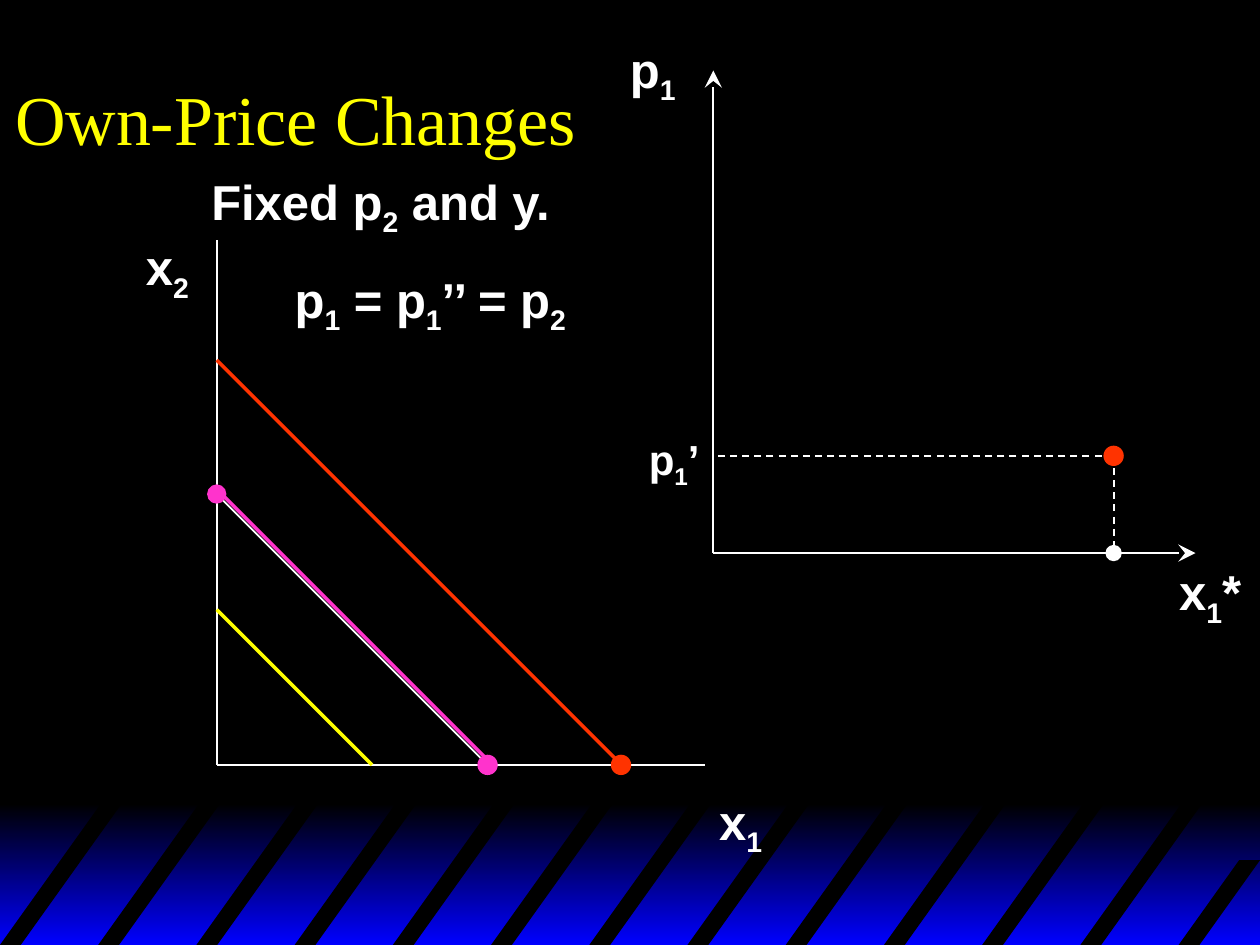
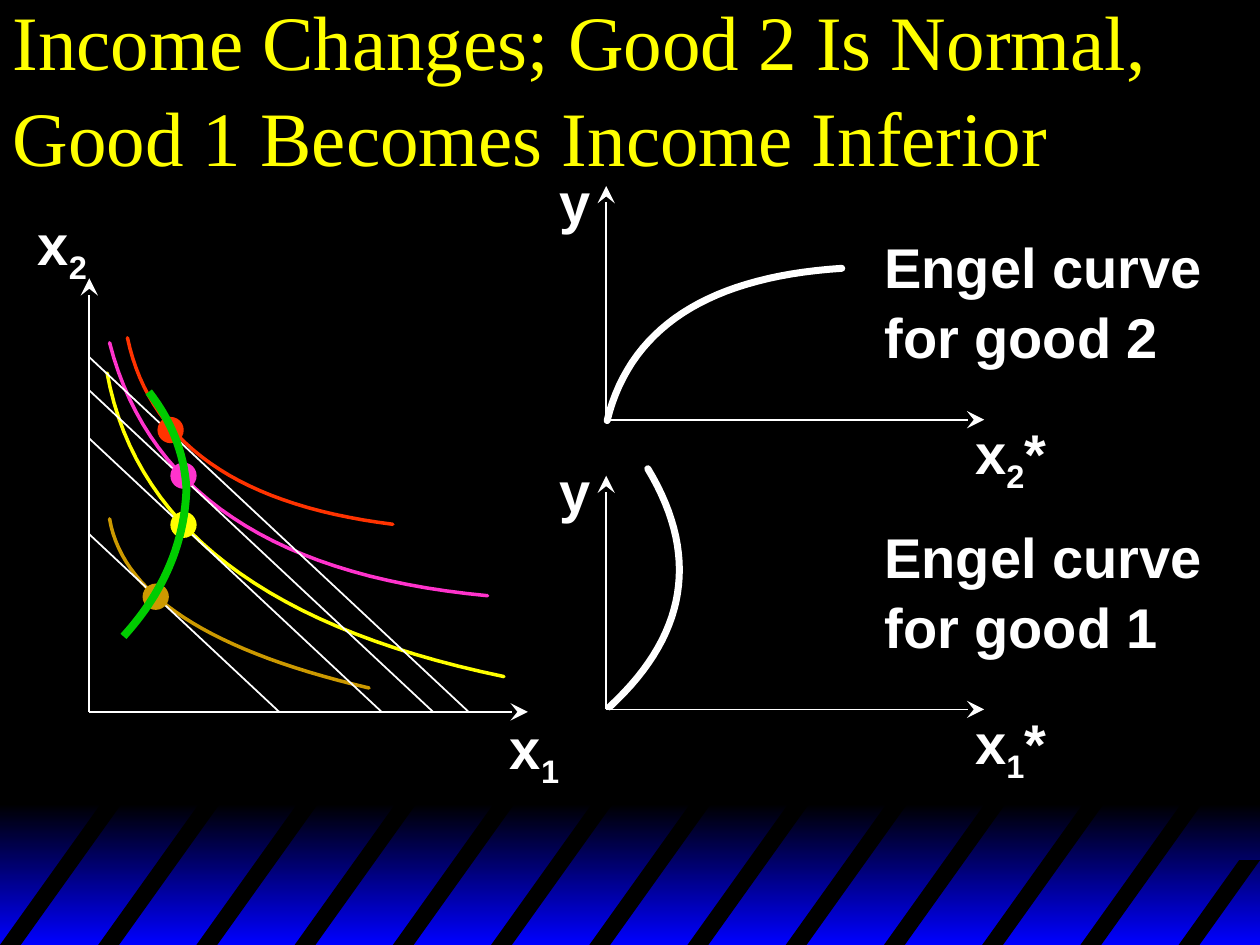
"""Build two slides on demand: own-price changes and Engel curves."""
from dataclasses import dataclass

from lxml import etree
from pptx import Presentation
from pptx.dml.color import RGBColor
from pptx.enum.dml import MSO_LINE
from pptx.enum.shapes import MSO_CONNECTOR, MSO_SHAPE
from pptx.enum.text import MSO_ANCHOR, PP_ALIGN
from pptx.oxml.ns import qn
from pptx.util import Cm, Pt

OVAL, RECT = MSO_SHAPE.OVAL, MSO_SHAPE.RECTANGLE
STRAIGHT, DASH = MSO_CONNECTOR.STRAIGHT, MSO_LINE.DASH
LEFT, MIDDLE = PP_ALIGN.LEFT, MSO_ANCHOR.MIDDLE
WIDTH, HEIGHT = 25.4, 19.05


@dataclass(frozen=True)
class Theme:
    black: RGBColor = RGBColor.from_string("000000")
    blue: RGBColor = RGBColor.from_string("0000FF")
    white: RGBColor = RGBColor.from_string("FFFFFF")
    yellow: RGBColor = RGBColor.from_string("FFFF00")
    red: RGBColor = RGBColor.from_string("FF3300")
    pink: RGBColor = RGBColor.from_string("FF33CC")
    gold: RGBColor = RGBColor.from_string("CC9900")
    green: RGBColor = RGBColor.from_string("00CC00")
    title_font: str = "Times New Roman"
    label_font: str = "Arial"
    small: int = 24
    medium: int = 28
    large: int = 32
    thin: int = 1
    bold: int = 2
    heavy: int = 4
    spacing: float = 1.04


T = Theme()


def add_curve(s, points, colour, width, cap):
    """Draw joined quadratic curves: a start, then pairs of control and end, in cm."""
    steps = 30
    track = [tuple(map(Cm, points[0]))]
    for a, b, c in zip(points[::2], points[1::2], points[2::2]):
        for t in (n / steps for n in range(1, steps + 1)):
            track.append(tuple(Cm((1 - t) ** 2 * i + 2 * t * (1 - t) * j + t * t * k)
                               for i, j, k in zip(a, b, c)))
    builder = s.shapes.build_freeform(*track[0])
    builder.add_line_segments(track[1:], close=False)
    sp = builder.convert_to_shape()
    sp.shadow.inherit = False
    sp.fill.background()
    sp.line.color.rgb, sp.line.width = colour, Pt(width)
    sp.element.spPr.find(qn("a:ln")).set("cap", cap)


def add_label(s, text, left, top, size):
    """Write a bold label; an underscore lowers the character after it."""
    rows = text.split("\n")
    letters = max(len(row.replace("_", "")) for row in rows)
    width = min(0.5 + 0.019 * size * letters, WIDTH - left)
    height = 0.25 + 0.048 * size * len(rows)
    tf = s.shapes.add_textbox(Cm(left), Cm(top), Cm(width), Cm(height)).text_frame
    tf.word_wrap = True
    p = tf.paragraphs[0]
    p.line_spacing = T.spacing
    p.font.name, p.font.size, p.font.bold = T.label_font, Pt(size), True
    p.font.color.rgb = T.white
    for n, row in enumerate(rows):
        if n:
            p.add_line_break()
        head, *tails = row.split("_")
        if head:
            p.add_run().text = head
        for tail in tails:
            r = p.add_run()
            r.text = tail[0]
            r.font._element.set("baseline", "-25000")
            if tail[1:]:
                p.add_run().text = tail[1:]


price_x, price_y = 4.37, 15.42
demand_x, demand_y = 14.38, 11.15
chosen_x, chosen_y = 22.45, 9.19
income_x, income_y = 1.8, 14.35
engel_x, engel_right = 12.22, 19.84
engel_bases = ((2, 8.46), (1, 14.3))

price_budgets = [(7.26, T.red, T.bold), (9.86, T.pink, T.bold),
                 (12.29, T.yellow, T.bold), (9.96, T.white, T.thin)]
engel_labels = [
    label for good, base in engel_bases for label in (
        (f"x_{good}*", 19.41, base - 0.2, T.large),
        ("y", 11.02, base - 5.27, T.large),
        (f"Engel curve\nfor good {good}", 17.58, base - 3.95, T.large))]

slides = [
    dict(
        title=("Own-Price Changes", 0.05, 0.64, 21.59, 40),
        arrow_plots=[(demand_x, demand_y, 24.1, 1.42)],
        dashes=[(chosen_x, chosen_y, demand_x, chosen_y),
                (chosen_x, chosen_y, chosen_x, demand_y)],
        lines=[(price_x, price_y, price_x, 4.83, T.white, T.thin),
               (price_x, price_y, 14.22, price_y, T.white, T.thin)]
        + [(price_x, y, price_x + price_y - y, price_y, colour, width)
           for y, colour, width in price_budgets],
        curves=[],
        dots=[(chosen_x, demand_y, 0.33, T.white), (chosen_x, chosen_y, 0.41, T.red),
              (12.52, price_y, 0.41, T.red), (price_x, 9.96, 0.39, T.pink),
              (9.83, price_y, 0.41, T.pink)],
        paths=[],
        labels=[
            ("x_2", 2.69, 4.6, T.medium),
            ("x_1", 14.25, 15.77, T.medium),
            ("p_1", 12.45, 0.61, T.medium),
            ("x_1*", 23.52, demand_y, T.medium),
            ("Fixed p_2 and y.", 4.01, 3.28, T.medium),
            ("p_1’", 12.83, 8.56, T.small),
            ("p_1 = p_1’’ = p_2", 5.69, 5.26, T.medium),
        ],
    ),
    dict(
        title=("Income Changes; Good 2 Is Normal, Good 1 Becomes Income Inferior",
               0, 0.05, 23.5, 44),
        arrow_plots=[(income_x, income_y, 10.64, 5.61)]
        + [(engel_x, base, engel_right, base - 4.71) for _, base in engel_bases],
        dashes=[],
        lines=[(income_x, y, income_x + (income_y - y) / 0.935, income_y, T.white, T.thin)
               for y in (7.2, 7.87, 8.84, 10.77)],
        curves=[
            ([(7.92, 10.57), (3.24, 9.99), (2.57, 6.81)], T.red, T.bold),
            ([(9.83, 12.01), (3.36, 11.41), (2.21, 6.91)], T.pink, T.bold),
            ([(10.16, 13.64), (3, 12.16), (2.16, 7.52)], T.yellow, T.bold),
            ([(7.44, 13.87), (2.6, 12.74), (2.21, 10.46)], T.gold, T.bold),
            ([(12.24, 8.48), (12.93, 5.67), (16.97, 5.41)], T.white, T.heavy),
            ([(13.06, 9.45), (14.64, 12.08), (12.29, 14.25)], T.white, T.heavy),
        ],
        dots=[(x, y, 0.53, colour) for x, y, colour in (
            (3.7, 10.58, T.yellow), (3.7, 9.59, T.pink),
            (3.44, 8.67, T.red), (3.14, 12.03, T.gold))],
        paths=[([(2.49, 12.83), (3.7, 11.5), (3.76, 9.86), (3.7, 8.8), (3, 7.9)],
                T.green, 4.5)],
        labels=[("x_2", 0.51, 4.04, T.large), ("x_1", 10.03, 14.2, T.large)] + engel_labels,
    ),
]

prs = Presentation()
prs.slide_width, prs.slide_height = Cm(WIDTH), Cm(HEIGHT)
bg = prs.slide_master.background.fill
bg.solid()
bg.fore_color.rgb = T.black
layout = prs.slide_layouts[5]

for number, content in enumerate(slides):
    s = prs.slides.add_slide(layout)

    if number == 0:
        band = s.shapes.add_group_shape()
        sp = band.shapes.add_shape(RECT, 0, Cm(16.2), Cm(WIDTH), Cm(HEIGHT - 16.2))
        sp.shadow.inherit = False
        sp.line.fill.background()
        sp.fill.gradient()
        sp.fill.gradient_angle = 270
        for stop, colour, place in zip(sp.fill.gradient_stops, (T.black, T.blue), (0, 1)):
            stop.color.rgb, stop.position = colour, place
        thick = 0.42
        for n in range(13):
            x = 1.98 * n
            lean = min(2.12, WIDTH - thick - x)
            top = HEIGHT - 1.4 * lean
            builder = band.shapes.build_freeform(Cm(x), Cm(HEIGHT))
            builder.add_line_segments([
                (Cm(x + lean), Cm(top)), (Cm(x + lean + thick), Cm(top)),
                (Cm(x + thick), Cm(HEIGHT))])
            sp = builder.convert_to_shape()
            sp.shadow.inherit = False
            sp.fill.solid()
            sp.fill.fore_color.rgb = T.black
            sp.line.fill.background()
        layout.shapes.element.insert(2, band.element)

    text, left, top, width, size = content["title"]
    title = s.shapes.title
    title.left, title.top, title.width, title.height = Cm(left), Cm(top), Cm(width), Cm(3.38)
    tf = title.text_frame
    tf.text, tf.word_wrap, tf.vertical_anchor = text, True, MIDDLE
    p = tf.paragraphs[0]
    p.alignment, p.line_spacing = LEFT, T.spacing
    p.font.name, p.font.size, p.font.color.rgb = T.title_font, Pt(size), T.yellow

    for curve in content["curves"]:
        add_curve(s, *curve, "rnd")

    strokes = [(*line, "plain") for line in content["lines"]]
    strokes += [(*dash, T.white, T.thin, "dash") for dash in content["dashes"]]
    for x, y, right, top in content["arrow_plots"]:
        strokes += [(x, y, x, top, T.white, T.thin, "arrow"),
                    (x, y, right, y, T.white, T.thin, "arrow")]
    for x1, y1, x2, y2, colour, width, style in strokes:
        line = s.shapes.add_connector(STRAIGHT, Cm(x1), Cm(y1), Cm(x2), Cm(y2))
        line.line.color.rgb, line.line.width = colour, Pt(width)
        spPr = line.element.spPr
        if style == "dash":
            line.line.dash_style = DASH
        if style == "arrow":
            etree.SubElement(spPr.find(qn("a:ln")), qn("a:tailEnd"),
                             type="stealth", w="lg", len="lg")
        etree.SubElement(spPr, qn("a:effectLst"))

    for x, y, size, colour in content["dots"]:
        dot = s.shapes.add_shape(OVAL, Cm(x - size / 2), Cm(y - size / 2), Cm(size), Cm(size))
        dot.shadow.inherit = False
        dot.fill.solid()
        dot.fill.fore_color.rgb = colour
        dot.line.fill.background()

    for curve in content["paths"]:
        add_curve(s, *curve, "flat")

    for label in content["labels"]:
        add_label(s, *label)

prs.save("out.pptx")
